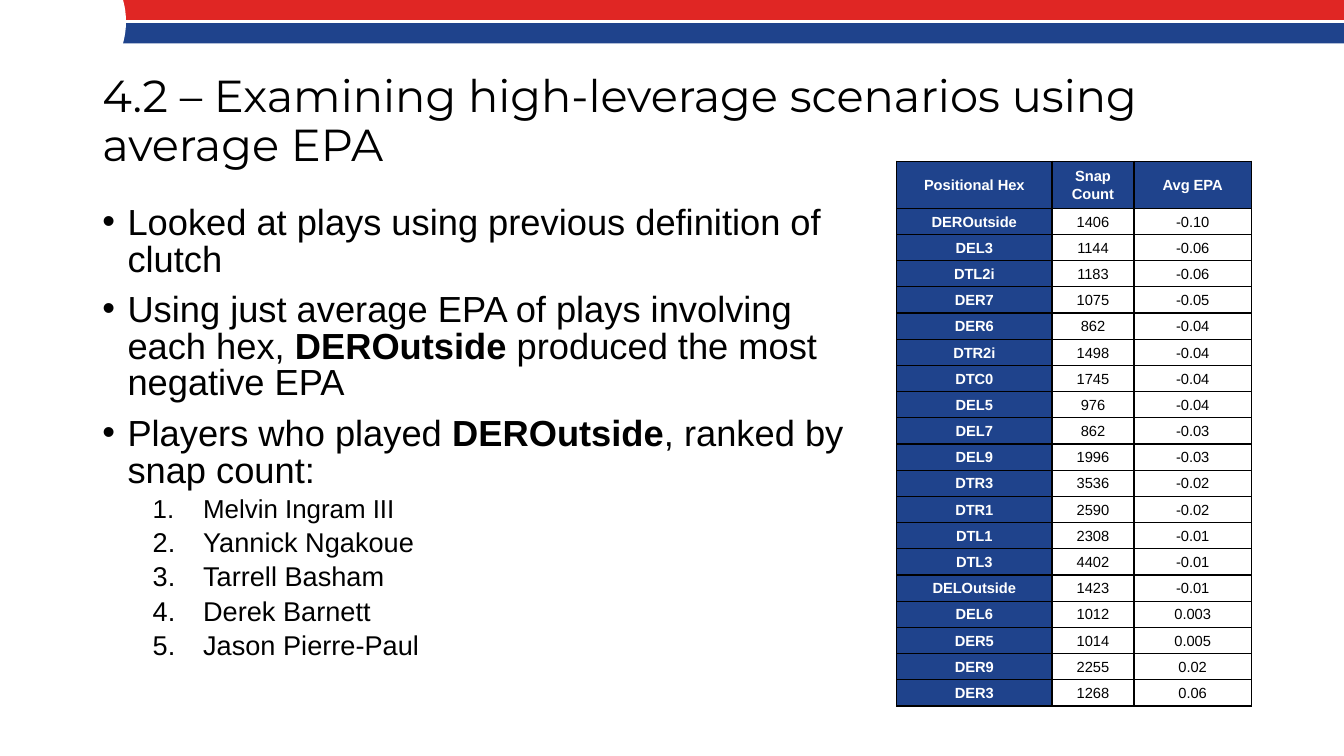
import dataclasses
import typing

import lxml.etree
import pptx
import pptx.dml.color
import pptx.enum.shapes
import pptx.enum.text
import pptx.oxml.ns
import pptx.util

Pt = pptx.util.Pt
qn = pptx.oxml.ns.qn
Shape = pptx.enum.shapes.MSO_SHAPE
Align = pptx.enum.text.PP_ALIGN
Anchor = pptx.enum.text.MSO_ANCHOR

WIDTH, HEIGHT = 960, 540
RED, BLUE, WHITE, BLACK = "E02624", "1F438C", "FFFFFF", "000000"


@dataclasses.dataclass
class Band:
    kind: typing.Any
    left: float
    top: float
    width: float
    height: float
    fill: str


@dataclasses.dataclass
class Item:
    """A list entry; words between asterisks are bold."""
    text: str
    size: float = 19.4
    ranked: bool = True


class Row(typing.NamedTuple):
    hex: str
    snaps: str
    epa: str


BANDS = [
    Band(Shape.RECTANGLE, 50.4, -1.5, 909.6, 22.3, RED),
    Band(Shape.RECTANGLE, 50.4, 15.1, 909.6, 16, BLUE),
    Band(Shape.OVAL, -24.5, -41.8, 114.5, 114.5, WHITE),
]

ITEMS = [
    Item("Looked at plays using previous definition of clutch", 25.9, False),
    Item("Using just average EPA of plays involving each hex, *DEROutside* "
         "produced the most negative EPA", 25.9, False),
    Item("Players who played *DEROutside*, ranked by snap count:", 25.9, False),
    Item("Melvin Ingram III", 18.5),
    Item("Yannick Ngakoue"),
    Item("Tarrell Basham"),
    Item("Derek Barnett"),
    Item("Jason Pierre-Paul"),
]

COLUMNS = [111, 58.5, 84]
ROWS = [
    Row("Positional Hex", "Snap Count", "Avg EPA"),
    Row("DEROutside", "1406", "-0.10"),
    Row("DEL3", "1144", "-0.06"),
    Row("DTL2i", "1183", "-0.06"),
    Row("DER7", "1075", "-0.05"),
    Row("DER6", "862", "-0.04"),
    Row("DTR2i", "1498", "-0.04"),
    Row("DTC0", "1745", "-0.04"),
    Row("DEL5", "976", "-0.04"),
    Row("DEL7", "862", "-0.03"),
    Row("DEL9", "1996", "-0.03"),
    Row("DTR3", "3536", "-0.02"),
    Row("DTR1", "2590", "-0.02"),
    Row("DTL1", "2308", "-0.01"),
    Row("DTL3", "4402", "-0.01"),
    Row("DELOutside", "1423", "-0.01"),
    Row("DEL6", "1012", "0.003"),
    Row("DER5", "1014", "0.005"),
    Row("DER9", "2255", "0.02"),
    Row("DER3", "1268", "0.06"),
]


def shade(code: str) -> pptx.dml.color.RGBColor:
    return pptx.dml.color.RGBColor.from_string(code)


def write(para, text: str, *, size: float, font: str = "Arial",
          color: str = BLACK, bold: bool = False, line: float = 1,
          before: float = 0, align=Align.LEFT) -> None:
    """Fill a paragraph; words between asterisks become bold."""
    para.alignment = align
    para.line_spacing = line
    para.space_before = Pt(before)
    for index, part in enumerate(text.split("*")):
        run = para.add_run()
        run.text = part
        run.font.size = Pt(size)
        run.font.name = font
        run.font.bold = bold or index % 2 == 1
        run.font.color.rgb = shade(color)


def add_box(slide, left: float, top: float, width: float, height: float,
            anchor=Anchor.TOP):
    box = slide.shapes.add_textbox(Pt(left), Pt(top), Pt(width), Pt(height))
    frame = box.text_frame
    frame.word_wrap = True
    frame.vertical_anchor = anchor
    return frame


def draw_band(slide, band: Band) -> None:
    shape = slide.shapes.add_shape(band.kind, Pt(band.left), Pt(band.top),
                                   Pt(band.width), Pt(band.height))
    shape.shadow.inherit = False
    shape.fill.solid()
    shape.fill.fore_color.rgb = shade(band.fill)
    shape.line.fill.background()


def draw_stripe(slide) -> None:
    stripe = slide.shapes.add_connector(
        pptx.enum.shapes.MSO_CONNECTOR.STRAIGHT,
        Pt(90), Pt(15.1), Pt(WIDTH), Pt(15.1))
    stripe.line.color.rgb = shade(WHITE)
    stripe.line.width = Pt(2.25)
    lxml.etree.SubElement(stripe._element.spPr, qn("a:effectLst"))


def draw_item(para, item: Item) -> None:
    write(para, item.text, size=item.size, line=0.84,
          before=5 if item.ranked else 10)
    props = para._p.get_or_add_pPr()
    margin, indent = (72, -36) if item.ranked else (18, -18)
    props.set("marL", str(Pt(margin)))
    props.set("indent", str(Pt(indent)))
    lxml.etree.SubElement(props, qn("a:buFont"), typeface="Arial")
    if item.ranked:
        para.level = 1
        lxml.etree.SubElement(props, qn("a:buAutoNum"), type="arabicPeriod")
    else:
        lxml.etree.SubElement(props, qn("a:buChar"), char="•")


def add_rules(cell) -> None:
    """Give a cell a thin black border on all sides."""
    props = cell._tc.get_or_add_tcPr()
    for side in ("lnL", "lnR", "lnT", "lnB"):
        rule = lxml.etree.SubElement(props, qn(f"a:{side}"), w=str(Pt(1)))
        fill = lxml.etree.SubElement(rule, qn("a:solidFill"))
        lxml.etree.SubElement(fill, qn("a:srgbClr"), val=BLACK)


def draw_cell(cell, text: str, head: bool) -> None:
    cell.margin_left = cell.margin_right = Pt(5)
    cell.margin_top = cell.margin_bottom = 0
    cell.vertical_anchor = Anchor.MIDDLE
    add_rules(cell)
    if head:
        cell.fill.solid()
        cell.fill.fore_color.rgb = shade(BLUE)
    else:
        cell.fill.background()
    write(cell.text_frame.paragraphs[0], text, size=10.5, bold=head,
          color=WHITE if head else BLACK, line=1.07, align=Align.CENTER)


def draw_table(slide) -> None:
    first, other = 33.6, 18.72
    table = slide.shapes.add_table(
        len(ROWS), len(COLUMNS), Pt(640.5), Pt(115.2), Pt(sum(COLUMNS)),
        Pt(first + other * (len(ROWS) - 1))).table
    table.horz_banding = False
    for column, width in zip(table.columns, COLUMNS):
        column.width = Pt(width)
    for y, row in enumerate(ROWS):
        table.rows[y].height = Pt(other if y else first)
        for x, text in enumerate(row):
            draw_cell(table.cell(y, x), text, head=x == 0 or y == 0)


def main() -> None:
    deck = pptx.Presentation()
    deck.slide_width, deck.slide_height = Pt(WIDTH), Pt(HEIGHT)
    slide = deck.slides.add_slide(deck.slide_layouts[6])
    for band in BANDS:
        draw_band(slide, band)
    draw_stripe(slide)
    title = add_box(slide, 66, 35.3, 828, 104.4, Anchor.MIDDLE)
    write(title.paragraphs[0],
          "4.2 – Examining high-leverage scenarios using average EPA",
          size=32, font="Montserrat", line=0.9)
    draw_table(slide)
    body = add_box(slide, 66, 144, 553.7, 342.7)
    for index, item in enumerate(ITEMS):
        draw_item(body.add_paragraph() if index else body.paragraphs[0], item)
    deck.save("out.pptx")


if __name__ == "__main__":
    main()
